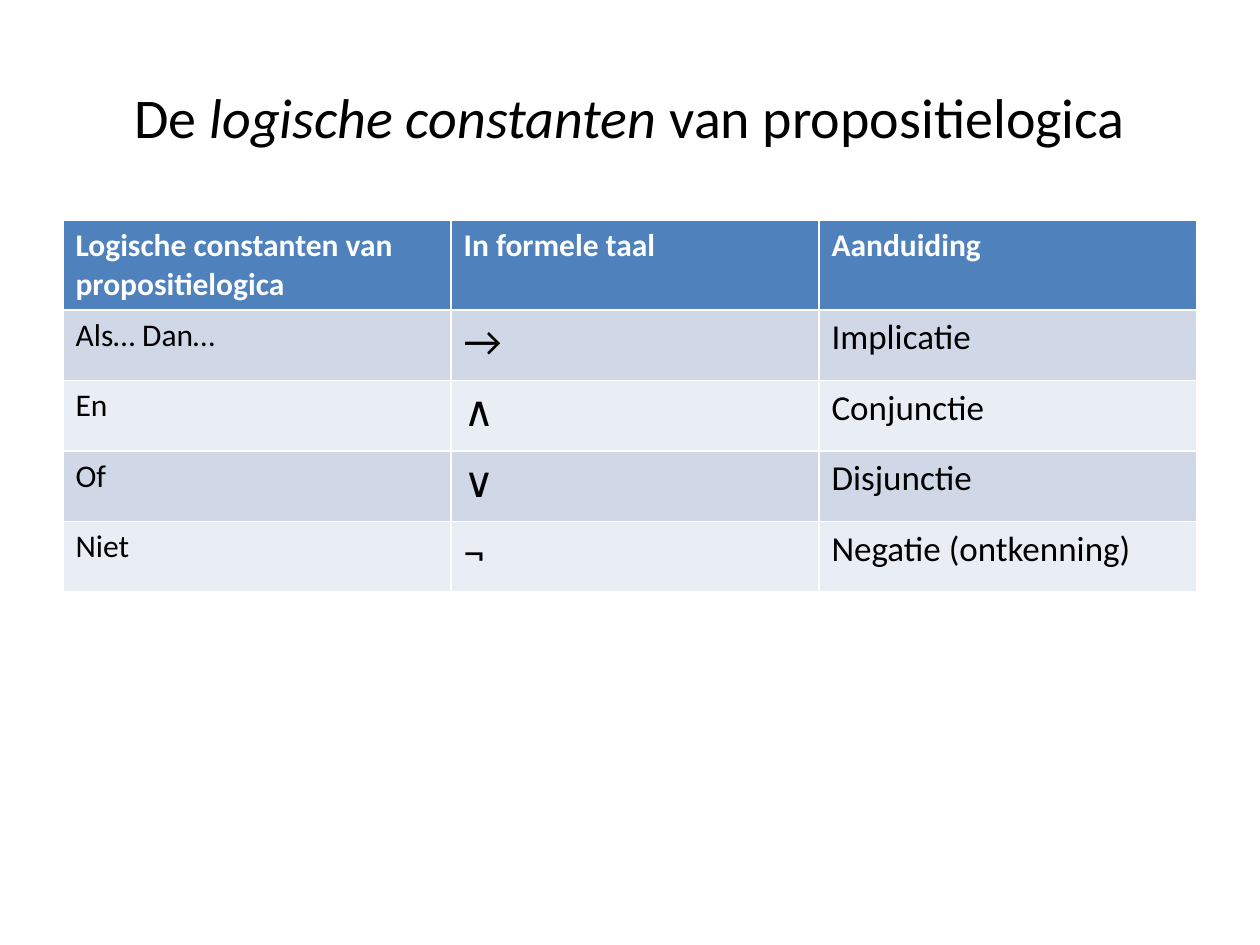
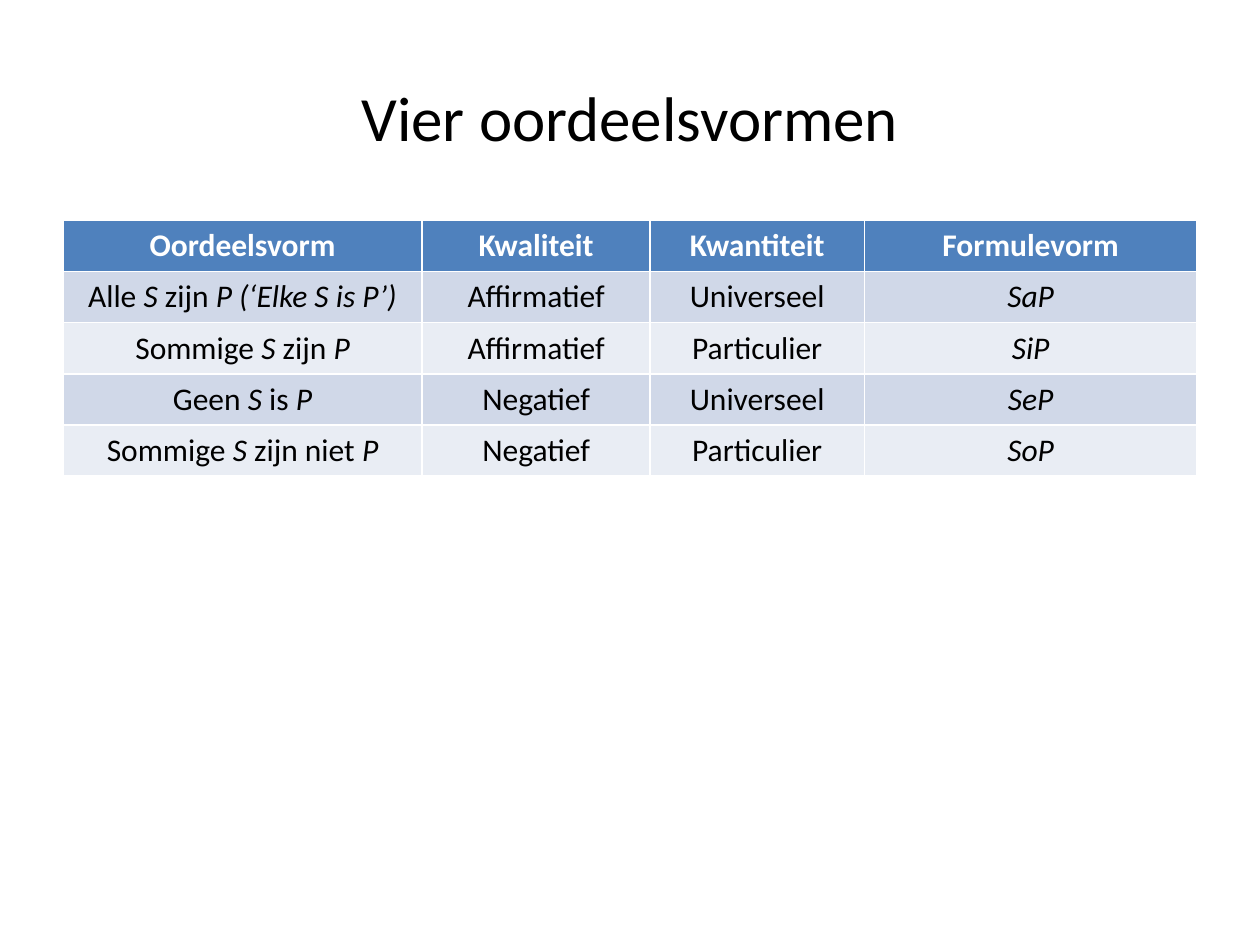
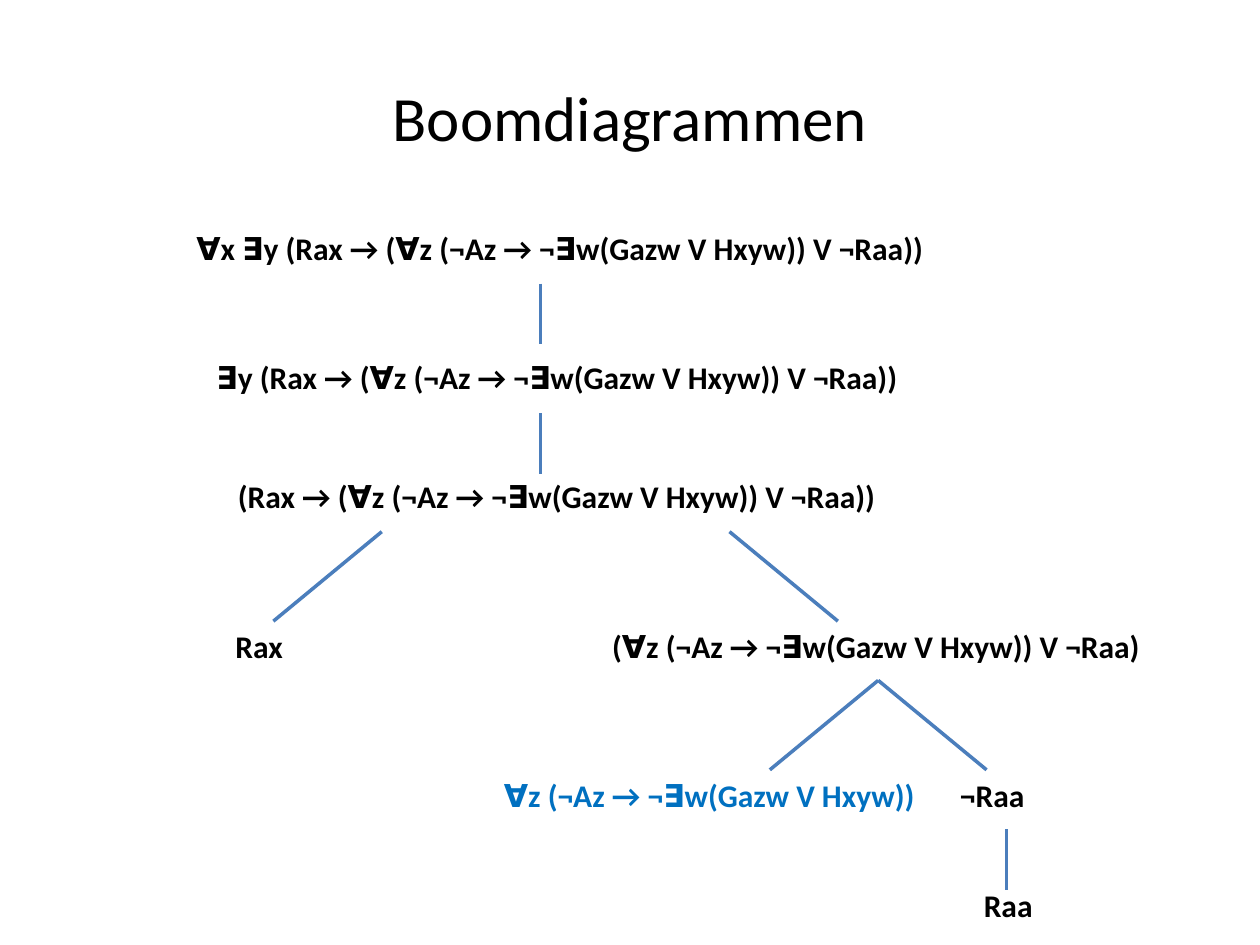
from lxml import etree
from pptx import Presentation
from pptx.dml.color import RGBColor
from pptx.enum.shapes import MSO_CONNECTOR
from pptx.enum.text import MSO_ANCHOR, MSO_AUTO_SIZE, PP_ALIGN
from pptx.oxml.ns import qn
from pptx.util import Inches, Pt

STRAIGHT = MSO_CONNECTOR.STRAIGHT
MIDDLE = MSO_ANCHOR.MIDDLE
GROW = MSO_AUTO_SIZE.SHAPE_TO_FIT_TEXT
LEFT, CENTER = PP_ALIGN.LEFT, PP_ALIGN.CENTER

FONT = "Calibri"
BLACK = RGBColor(0x00, 0x00, 0x00)
WHITE = RGBColor(0xFF, 0xFF, 0xFF)
HEADER_BLUE = RGBColor(0x4F, 0x81, 0xBD)
BANDS = (RGBColor(0xD0, 0xD8, 0xE8), RGBColor(0xE9, 0xED, 0xF4))
BRANCH_BLUE = RGBColor(0x4B, 0x7E, 0xBC)
LEAF_BLUE = RGBColor(0x00, 0x70, 0xC0)

# Boxes in inches: left, top, width, height
TITLE_BOX = (0.5, 0.3, 9, 1.25)
CONTENT_BOX = (0.5, 1.75, 9, 5.6)

# Text between asterisks is italic
CONSTANTS = [
    ("Logische constanten van propositielogica", "In formele taal", "Aanduiding"),
    ("Als… Dan…", "→", "Implicatie"),
    ("En", "∧", "Conjunctie"),
    ("Of", "∨", "Disjunctie"),
    ("Niet", "¬", "Negatie (ontkenning)"),
]
JUDGEMENTS = [
    ("Oordeelsvorm", "Kwaliteit", "Kwantiteit", "Formulevorm"),
    ("Alle *S* zijn *P (‘Elke S is P’)*", "Affirmatief", "Universeel", "*SaP*"),
    ("Sommige* S* zijn *P*", "Affirmatief", "Particulier", "*SiP*"),
    ("Geen *S* is *P*", "Negatief", "Universeel", "*SeP*"),
    ("Sommige *S *zijn niet *P*", "Negatief", "Particulier", "*SoP*"),
]

# Each formula contains the one below it in the tree
UNIVERSAL = "∀z (¬Az → ¬∃w(Gazw V Hxyw))"
DISJUNCTION = f"({UNIVERSAL} V ¬Raa)"
IMPLICATION = f"(Rax → {DISJUNCTION})"

# Formula, left, top, width, colour; offsets within the content box
NODES = [
    (f"∀x ∃y {IMPLICATION}", 0.96, 0.02, 6.93, BLACK),
    (f"∃y {IMPLICATION}", 1.12, 1.04, 6.93, BLACK),
    (IMPLICATION, 1.29, 1.99, 6.93, BLACK),
    ("Rax", 1.27, 3.18, 0.63, BLACK),
    (DISJUNCTION, 4.26, 3.18, 4.49, BLACK),
    (UNIVERSAL, 3.4, 4.36, 4.49, LEAF_BLUE),
    ("¬Raa", 7.02, 4.36, 0.94, BLACK),
    ("Raa", 7.21, 5.23, 0.94, BLACK),
]

# Steps down the tree: across, down
STEM = (0, 0.48)
BRANCH_LEFT = (-0.86, 0.71)
BRANCH_RIGHT = (0.86, 0.71)
EDGES = [
    (3.79, 0.5, STEM),
    (3.79, 1.53, STEM),
    (2.53, 2.47, BRANCH_LEFT),
    (5.29, 2.47, BRANCH_RIGHT),
    (6.47, 3.65, BRANCH_LEFT),
    (6.47, 3.65, BRANCH_RIGHT),
    (7.49, 4.83, STEM),
]


def write(text_frame, text, size, color=BLACK, bold=False, align=LEFT):
    """Fill the first paragraph, with *marked* parts in italics."""
    paragraph = text_frame.paragraphs[0]
    paragraph.alignment = align
    font = paragraph.font
    font.name, font.size, font.bold = FONT, Pt(size), bold
    font.color.rgb = color
    for index, part in enumerate(text.split("*")):
        if part:
            run = paragraph.add_run()
            run.text = part
            if index % 2:
                run.font.italic = True


def add_titled_slide(prs, title, size=36):
    slide = prs.slides.add_slide(prs.slide_layouts[5])
    heading = slide.shapes.title
    heading.left, heading.top, heading.width, heading.height = map(Inches, TITLE_BOX)
    heading.text_frame.vertical_anchor = MIDDLE
    write(heading.text_frame, title, size, align=CENTER)
    return slide


def add_banded_table(slide, box, rows, widths, row_height, sizes, align):
    left, top, width, _ = box
    table = slide.shapes.add_table(
        len(rows), len(widths), Inches(left), Inches(top),
        Inches(width), Inches(row_height * len(rows))).table
    for column, column_width in zip(table.columns, widths):
        column.width = Inches(column_width)
    for r, row in enumerate(rows):
        is_header = r == 0
        for c, text in enumerate(row):
            cell = table.cell(r, c)
            cell.fill.solid()
            cell.fill.fore_color.rgb = HEADER_BLUE if is_header else BANDS[(r - 1) % 2]
            write(cell.text_frame, text, 18 if is_header else sizes[c],
                  WHITE if is_header else BLACK, is_header, align)


def add_tree(slide, box):
    left, top = box[:2]
    # Branches
    for x, y, (across, down) in EDGES:
        start_x, start_y = left + x, top + y
        branch = slide.shapes.add_connector(
            STRAIGHT, Inches(start_x), Inches(start_y),
            Inches(start_x + across), Inches(start_y + down))
        branch.line.color.rgb = BRANCH_BLUE
        branch.line.width = Pt(2)
        etree.SubElement(branch._element.spPr, qn("a:effectLst"))
    # Formulas
    for formula, x, y, width, color in NODES:
        node = slide.shapes.add_textbox(
            Inches(left + x), Inches(top + y), Inches(width), Inches(0.4))
        node.text_frame.word_wrap = True
        node.text_frame.auto_size = GROW
        write(node.text_frame, formula, 18, color, bold=True)


def main():
    prs = Presentation()
    prs.slide_width, prs.slide_height = Inches(10), Inches(7.5)

    constants = add_titled_slide(
        prs, "De *logische constanten* van propositielogica", 32)
    add_banded_table(constants, CONTENT_BOX, CONSTANTS, (3.08, 2.92, 3),
                     0.56, (18, 24, 20), LEFT)

    judgements = add_titled_slide(prs, "Vier oordeelsvormen")
    add_banded_table(judgements, CONTENT_BOX, JUDGEMENTS, (2.85, 1.81, 1.7, 2.64),
                     0.4, (18,) * 4, CENTER)

    add_tree(add_titled_slide(prs, "Boomdiagrammen"), CONTENT_BOX)
    prs.save("out.pptx")


if __name__ == "__main__":
    main()
